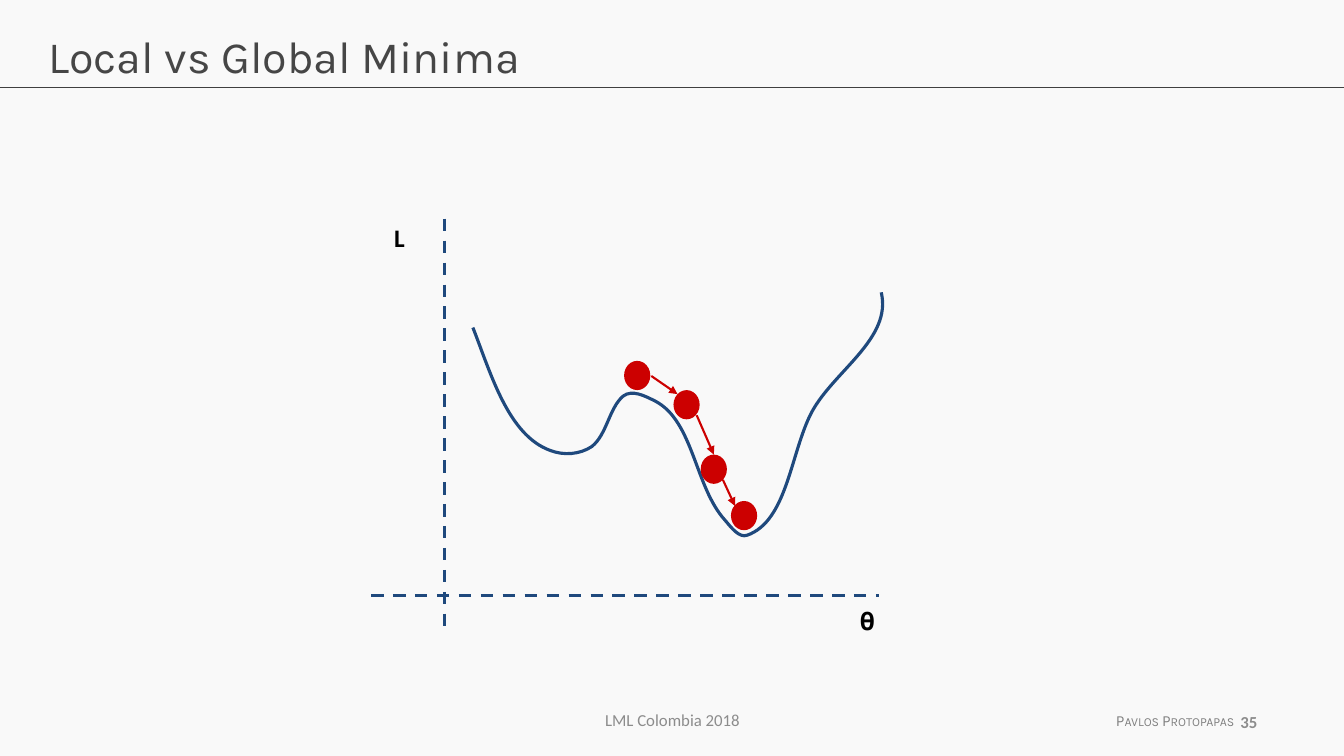
from lxml.etree import SubElement
from pptx import Presentation
from pptx.dml.color import RGBColor
from pptx.enum.dml import MSO_LINE
from pptx.enum.shapes import MSO_CONNECTOR, MSO_SHAPE
from pptx.enum.text import MSO_ANCHOR, PP_ALIGN
from pptx.oxml.ns import qn
from pptx.util import Inches, Pt

NAVY = "1F497D"
RED = "CC0000"
FOOTER_GRAY = "8C8C8C"
BALL_SIZE = (0.26, 0.29)
BALLS = [(6.19, 3.58), (6.68, 3.87), (6.95, 4.51), (7.25, 4.97)]
STEPS = [
    ((6.46, 3.73), (6.72, 3.91)),
    ((6.91, 4.12), (7.08, 4.51)),
    ((7.17, 4.76), (7.29, 5.02)),
]
LOSS_START = (4.69, 3.25)
LOSS_BENDS = [
    ((4.87, 3.71), (5.04, 4.32), (5.46, 4.47)),
    ((5.59, 4.52), (5.75, 4.51), (5.87, 4.43)),
    ((6.02, 4.31), (6.04, 4.05), (6.18, 3.93)),
    ((6.27, 3.86), (6.4, 3.93), (6.5, 3.98)),
    ((6.88, 4.18), (6.89, 4.83), (7.19, 5.16)),
    ((7.25, 5.23), (7.33, 5.34), (7.41, 5.31)),
    ((7.81, 5.17), (7.84, 4.49), (8.05, 4.09)),
    ((8.27, 3.68), (8.85, 3.36), (8.74, 2.9)),
]


def color(hex_code):
    return RGBColor.from_string(hex_code)


def add_text(slide, box, words, size, font, hex_code, align=PP_ALIGN.LEFT,
             anchor=MSO_ANCHOR.TOP, bold=False, wrap=True, small_caps=False, inset=None):
    label = slide.shapes.add_textbox(*map(Inches, box))
    frame = label.text_frame
    frame.word_wrap = wrap
    frame.vertical_anchor = anchor
    if inset is not None:
        frame.margin_left = frame.margin_right = Inches(inset)
        frame.margin_top = frame.margin_bottom = Inches(inset)
    paragraph = frame.paragraphs[0]
    paragraph.alignment = align
    run = paragraph.add_run()
    run.text = words
    run.font.size = Pt(size)
    run.font.name = font
    run.font.bold = bold
    run.font.color.rgb = color(hex_code)
    if small_caps:
        run.font._element.set("cap", "small")


def add_line(slide, start, end, hex_code, width, dashed=False, arrow=False):
    line = slide.shapes.add_connector(
        MSO_CONNECTOR.STRAIGHT, *map(Inches, (*start, *end)))
    line.line.color.rgb = color(hex_code)
    line.line.width = Pt(width)
    if dashed:
        line.line.dash_style = MSO_LINE.DASH
    if arrow:
        SubElement(line.line._get_or_add_ln(), qn("a:tailEnd"), type="triangle")
    SubElement(line._element.spPr, qn("a:effectLst"))


def add_curve(slide, start, bends, hex_code, width):
    builder = slide.shapes.build_freeform(*map(Inches, start))
    builder.add_line_segments(
        [tuple(map(Inches, bend[-1])) for bend in bends], close=False)
    curve = builder.convert_to_shape()
    outline = curve._element.find(".//" + qn("a:path"))
    for segment in outline.findall(qn("a:lnTo")):
        outline.remove(segment)
    for bend in bends:
        segment = SubElement(outline, qn("a:cubicBezTo"))
        for x, y in bend:
            SubElement(segment, qn("a:pt"),
                       x=str(Inches(x) - curve.left), y=str(Inches(y) - curve.top))
    curve.shadow.inherit = False
    curve.fill.background()
    curve.line.color.rgb = color(hex_code)
    curve.line.width = Pt(width)


def add_ball(slide, left, top):
    ball = slide.shapes.add_shape(
        MSO_SHAPE.OVAL, *map(Inches, (left, top, *BALL_SIZE)))
    ball.shadow.inherit = False
    ball.fill.solid()
    ball.fill.fore_color.rgb = color(RED)
    ball.line.fill.background()


def main():
    deck = Presentation()
    deck.slide_width = Inches(13.33)
    deck.slide_height = Inches(7.5)
    slide = deck.slides.add_slide(deck.slide_layouts[6])
    slide.background.fill.solid()
    slide.background.fill.fore_color.rgb = color("F9F9F9")

    add_line(slide, (0, 0.87), (13.33, 0.87), "404040", 0.75)
    add_text(slide, (4.56, 6.94, 4.22, 0.4), "LML Colombia 2018", 12, "Calibri",
             FOOTER_GRAY, PP_ALIGN.CENTER, MSO_ANCHOR.MIDDLE)
    add_text(slide, (10.97, 7.01, 1.41, 0.29), "Pavlos Protopapas", 11, "Karla",
             "808080", wrap=False, small_caps=True)
    add_text(slide, (9.46, 6.96, 3.11, 0.4), "35", 12, "Calibri",
             FOOTER_GRAY, PP_ALIGN.RIGHT, MSO_ANCHOR.MIDDLE, bold=True)
    add_text(slide, (0.38, 0.24, 12.57, 0.84), "Local vs Global Minima", 32, "Karla", "464646")

    add_line(slide, (4.41, 2.17), (4.41, 6.29), NAVY, 2.25, dashed=True)
    add_line(slide, (3.68, 5.91), (8.72, 5.91), NAVY, 2.25, dashed=True)
    add_text(slide, (3.81, 2.11, 0.6, 0.7), "L", 18, "Calibri", "000000", bold=True, inset=0.1)
    add_text(slide, (8.43, 5.91, 0.6, 0.7), "𝛉", 18, "Calibri", "000000", inset=0.1)
    add_curve(slide, LOSS_START, LOSS_BENDS, NAVY, 2.25)
    for left, top in BALLS:
        add_ball(slide, left, top)
    for start, end in STEPS:
        add_line(slide, start, end, RED, 1.5, arrow=True)

    deck.save("out.pptx")


if __name__ == "__main__":
    main()
